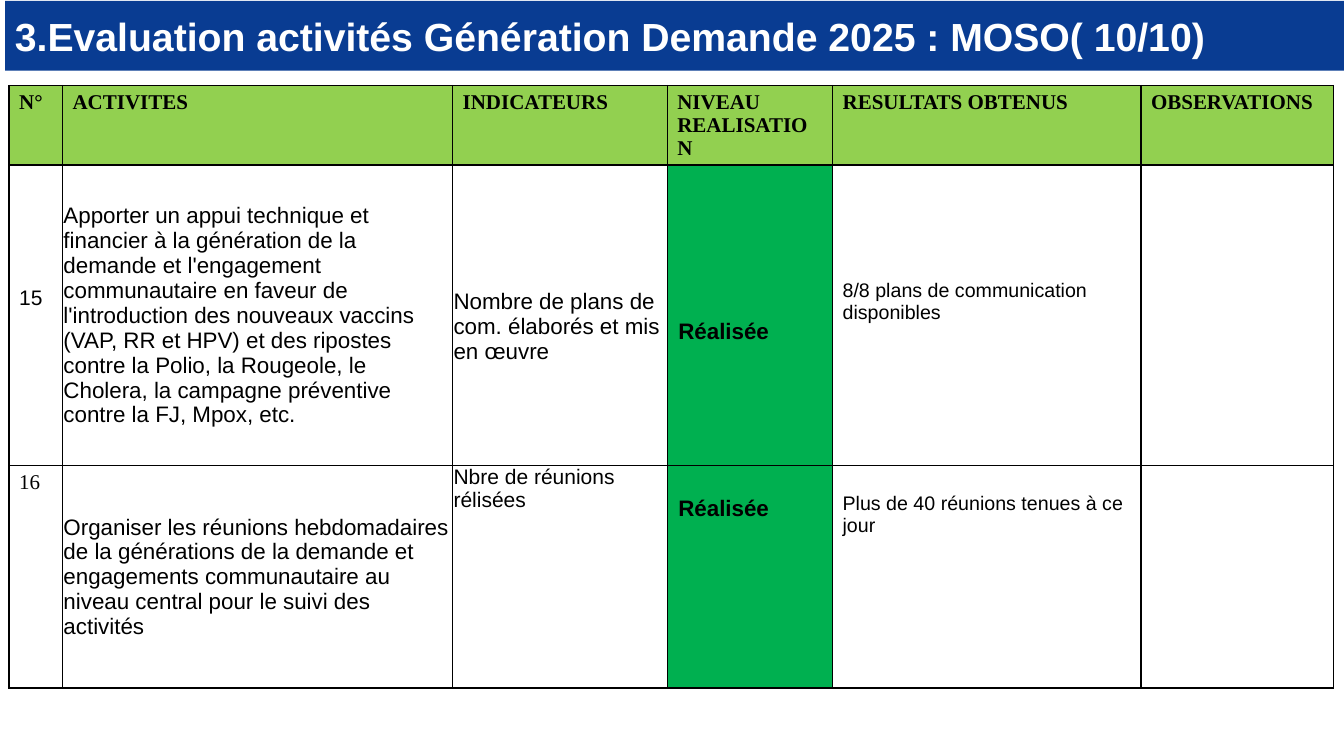
from lxml import etree
from pptx import Presentation
from pptx.dml.color import RGBColor
from pptx.enum.shapes import MSO_SHAPE
from pptx.enum.text import MSO_ANCHOR
from pptx.oxml.ns import qn
from pptx.util import Pt

RECTANGLE = MSO_SHAPE.RECTANGLE
TOP = MSO_ANCHOR.TOP
MIDDLE = MSO_ANCHOR.MIDDLE

THEME = {
    "banner": RGBColor.from_string("093C92"),
    "header": RGBColor.from_string("92D050"),
    "done": RGBColor.from_string("00B050"),
    "light": RGBColor.from_string("FFFFFF"),
    "dark": RGBColor.from_string("000000"),
    "border": "000000",
    "sans": "Arial",
    "serif": "Times New Roman",
    "title": Pt(28),
    "large": Pt(16),
    "medium": Pt(15),
    "small": Pt(14),
}


def write_text(paragraph, text, size, font_name, color, bold=False):
    run = paragraph.add_run()
    run.text = text
    formats = {"size": size, "name": font_name, "bold": bold}
    for attribute, value in formats.items():
        setattr(run.font, attribute, value)
    run.font.color.rgb = color


def draw_borders(cell):
    properties = cell._tc.get_or_add_tcPr()
    for position, side in enumerate(("lnL", "lnR", "lnT", "lnB")):
        line = etree.Element(qn(f"a:{side}"), w=str(Pt(1)))
        fill = etree.SubElement(line, qn("a:solidFill"))
        etree.SubElement(fill, qn("a:srgbClr"), val=THEME["border"])
        properties.insert(position, line)


presentation = Presentation()
presentation.slide_width = Pt(960)
presentation.slide_height = Pt(540)
slide = presentation.slides.add_slide(presentation.slide_layouts[6])

column_widths = [38.16, 278.64, 153.36, 118.08, 220.32, 137.52]
row_heights = [56.5, 214.5, 159]
headings = ["N°", "ACTIVITES", "INDICATEURS", "NIVEAU REALISATION",
            "RESULTATS OBTENUS", "OBSERVATIONS"]
activities = [
    [
        ("15", "medium", "sans", 87),
        ("Apporter un appui technique et financier à la génération de la "
         "demande et l'engagement communautaire en faveur de l'introduction "
         "des nouveaux vaccins (VAP, RR et HPV) et des ripostes contre la "
         "Polio, la Rougeole, le Cholera, la campagne préventive contre la "
         "FJ, Mpox, etc.", "large", "sans", 0.72),
        ("Nombre de plans de com. élaborés et mis en œuvre",
         "large", "sans", 89),
        ("Réalisée", "large", "sans", 110.5),
        ("8/8 plans de communication disponibles", "small", "sans", 82),
        ("", "large", "sans", 3.6),
    ],
    [
        ("16", "medium", "serif", 3.6),
        ("Organiser les réunions hebdomadaires de la générations de la "
         "demande et engagements communautaire au niveau central pour le "
         "suivi des activités", "large", "sans", 0.72),
        ("Nbre de réunions rélisées", "medium", "sans", 0),
        ("Réalisée", "large", "sans", 22),
        ("Plus de 40 réunions tenues à ce jour", "small", "sans", 19.5),
        ("", "large", "sans", 3.6),
    ],
]
side_margins = [(7.2, 7.2), (0.72, 0.72), (0.72, 0),
                (7.92, 7.2), (7.2, 7.2), (7.2, 7.2)]
ACTIVITY_COLUMN = 1
LEVEL_COLUMN = 3

table_frame = slide.shapes.add_table(
    len(row_heights), len(column_widths), Pt(6.5), Pt(61),
    Pt(sum(column_widths)), Pt(sum(row_heights)))
table = table_frame.table
for column, width in zip(table.columns, column_widths):
    column.width = Pt(width)
for row, height in zip(table.rows, row_heights):
    row.height = Pt(height)

header_row = [(heading, "medium", "serif", 3.6) for heading in headings]
for row_index, entries in enumerate([header_row] + activities):
    is_header = row_index == 0
    for column_index, (text, size, font_name, top_margin) in enumerate(entries):
        cell = table.cell(row_index, column_index)
        is_level = column_index == LEVEL_COLUMN
        is_activity = column_index == ACTIVITY_COLUMN and not is_header
        left, right = (7.2, 7.2) if is_header else side_margins[column_index]
        formats = {
            "margin_left": Pt(left),
            "margin_right": Pt(right),
            "margin_top": Pt(top_margin),
            "margin_bottom": Pt(0 if is_activity else 3.6),
            "vertical_anchor": MIDDLE if is_activity else TOP,
        }
        for attribute, value in formats.items():
            setattr(cell, attribute, value)
        cell.fill.solid()
        cell.fill.fore_color.rgb = THEME[
            "header" if is_header else "done" if is_level else "light"]
        draw_borders(cell)
        if text:
            write_text(cell.text_frame.paragraphs[0], text, THEME[size],
                       THEME[font_name], THEME["dark"], is_header or is_level)

banner = slide.shapes.add_shape(RECTANGLE, Pt(3.6), Pt(0.72), Pt(956.4), Pt(49.68))
banner.shadow.inherit = False
banner.fill.solid()
banner.fill.fore_color.rgb = THEME["banner"]
banner.line.fill.background()
banner.text_frame.word_wrap = True
banner.text_frame.vertical_anchor = MIDDLE
title_paragraph = banner.text_frame.paragraphs[0]
title_paragraph.alignment = 1
write_text(title_paragraph,
           "3.Evaluation activités Génération Demande 2025 : MOSO( 10/10)",
           THEME["title"], THEME["sans"], THEME["light"], True)

presentation.save("out.pptx")
